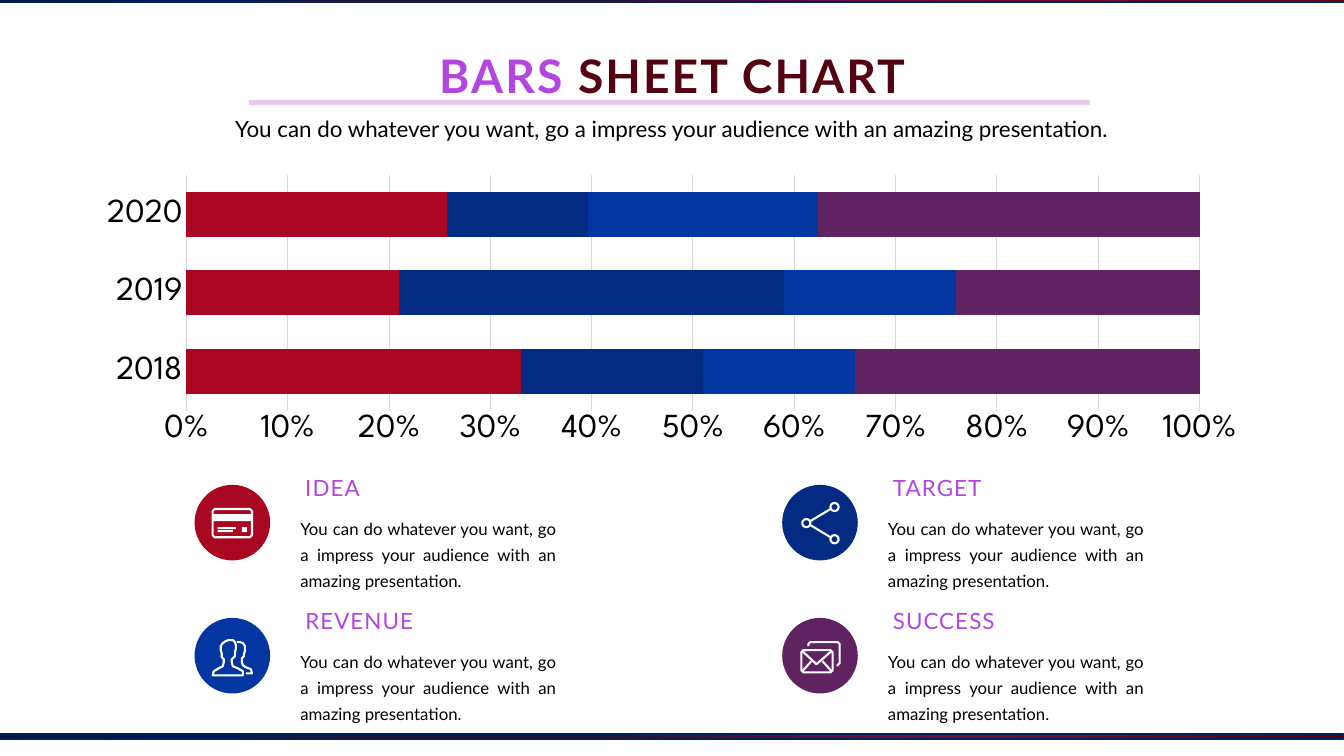
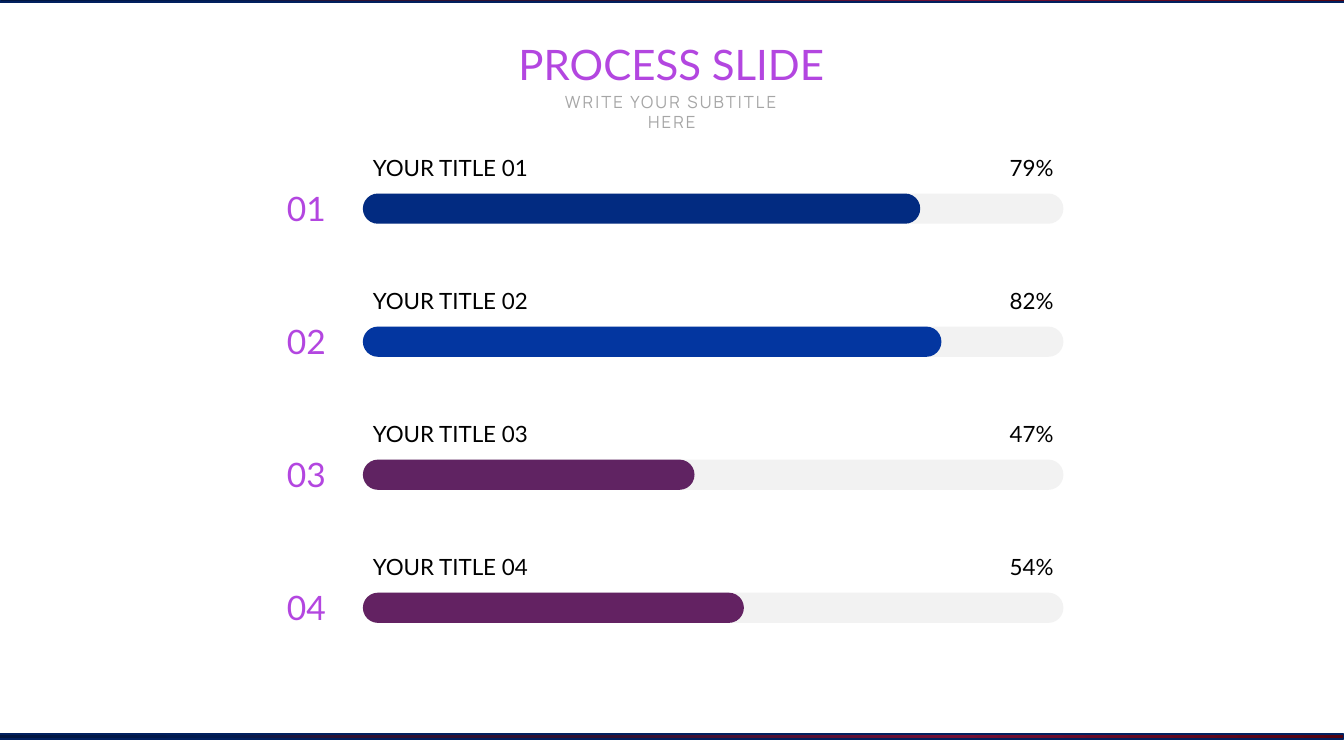
from dataclasses import dataclass
from math import cos, pi, sin

from lxml.etree import SubElement
from pptx import Presentation
from pptx.chart.data import CategoryChartData
from pptx.dml.color import RGBColor
from pptx.enum.chart import XL_CHART_TYPE, XL_TICK_MARK
from pptx.enum.shapes import MSO_SHAPE
from pptx.enum.text import MSO_ANCHOR, MSO_AUTO_SIZE, PP_ALIGN
from pptx.oxml.ns import qn
from pptx.util import Inches, Pt

PX = 9144  # one px is a hundredth of an inch
TITLE_ONLY = 5


@dataclass(frozen=True)
class Theme:
    font: str = "Lato"
    chart_font: str = "League Spartan"
    subtitle_font: str = "Manrope"
    accent: str = "B346E0"
    title_dark: str = "540311"
    text: str = "000000"
    muted: str = "A6A6A6"
    white: str = "FFFFFF"
    track: str = "F2F2F2"
    grid: str = "D9D9D9"
    underline: str = "EAC7EB"
    red: str = "A80621"
    navy: str = "022B81"
    blue: str = "0336A0"
    purple: str = "602362"
    plum: str = "632262"
    band_line: str = "01205F"
    band_stops: tuple = ((0, "540311"), (29, "751035"), (55, "311131"),
                         (74, "301231"), (83, "011B50"), (100, "011540"))
    chart_title_size: float = 33
    process_title_size: float = 30
    large: float = 24
    medium: float = 16
    small: float = 12
    line_spacing: float = 18.5


THEME = Theme()
PITCH = "You can do whatever you want, go a impress your audience with an amazing presentation."


def px(length):
    return round(length * PX)


def set_all(target, values):
    for name, value in values.items():
        setattr(target, name, value)


def place(shape, box):
    set_all(shape, dict(zip(("left", "top", "width", "height"), map(px, box))))


def style(size, color=THEME.text, font=THEME.font, bold=False, spacing=0):
    return {"font": {"name": font, "size": Pt(size), "bold": bold},
            "color": color, "spacing": spacing}


def write(shape, runs, frame_format=None, **paragraph_format):
    """Fill a shape with one paragraph of (text, style) runs."""
    frame = shape.text_frame
    set_all(frame, {"word_wrap": False, "auto_size": MSO_AUTO_SIZE.SHAPE_TO_FIT_TEXT,
                    "vertical_anchor": MSO_ANCHOR.TOP, **(frame_format or {})})
    paragraph = frame.paragraphs[0]
    set_all(paragraph, {"alignment": PP_ALIGN.LEFT, **paragraph_format})
    for text, look in runs:
        run = paragraph.add_run()
        run.text = text
        set_all(run.font, look["font"])
        run.font.color.rgb = RGBColor.from_string(look["color"])
        if look["spacing"]:
            run._r.get_or_add_rPr().set("spc", str(round(look["spacing"] * 100)))


def add_text(slide, box, text, look, frame_format=None, **paragraph_format):
    shape = slide.shapes.add_textbox(*map(px, box))
    write(shape, [(text, look)], frame_format, **paragraph_format)


def add_filled(slide, kind, box, color):
    shape = slide.shapes.add_shape(kind, *map(px, box))
    shape.shadow.inherit = False
    shape.fill.solid()
    shape.fill.fore_color.rgb = RGBColor.from_string(color)
    shape.line.fill.background()
    return shape


def add_title(slide, box, runs):
    place(slide.shapes.title, box)
    write(slide.shapes.title, runs, alignment=PP_ALIGN.CENTER)


def move_bands_to_master(presentation, slide):
    """Draw the edge bands once, so that every slide inherits them."""
    tree = presentation.slide_master.shapes.element
    for number, (left, top) in enumerate([(-4, 728), (0, -3)], start=101):
        band = add_filled(slide, MSO_SHAPE.RECTANGLE, (left, top, 1337, 5), THEME.white)
        band.fill.gradient()
        band.fill.gradient_angle = 230
        stops = band.element.spPr.find(".//" + qn("a:gsLst"))
        for stop in list(stops):
            stops.remove(stop)
        for percent, color in THEME.band_stops:
            stop = SubElement(stops, qn("a:gs"), pos=str(percent * 1000))
            SubElement(stop, qn("a:srgbClr"), val=color)
        band.line.color.rgb = RGBColor.from_string(THEME.band_line)
        band.line.width = Pt(1)
        band.element.nvSpPr.cNvPr.set("id", str(number))
        tree.append(band.element)


def add_bar_chart(slide, box):
    data = CategoryChartData()
    data.categories = ["2018", "2019", "2020"]
    series_values = [(33, 21, 26), (18, 38, 14), (15, 17, 23), (34, 24, 38)]
    for number, values in enumerate(series_values, start=1):
        data.add_series(f"Series {number}", values)
    chart = slide.shapes.add_chart(
        XL_CHART_TYPE.BAR_STACKED_100, *map(px, box), data).chart
    set_all(chart, {"has_legend": False, "has_title": False})
    set_all(chart.font, {"name": THEME.chart_font, "size": Pt(THEME.large)})
    chart.font.color.rgb = RGBColor.from_string(THEME.text)
    plot = chart.plots[0]
    set_all(plot, {"gap_width": 75, "overlap": 100, "vary_by_categories": False})
    for series, color in zip(plot.series, (THEME.red, THEME.navy, THEME.blue, THEME.purple)):
        series.format.fill.solid()
        series.format.fill.fore_color.rgb = RGBColor.from_string(color)
    categories, values = chart.category_axis, chart.value_axis
    for axis in (categories, values):
        set_all(axis, {"major_tick_mark": XL_TICK_MARK.NONE,
                       "minor_tick_mark": XL_TICK_MARK.NONE})
    values.has_major_gridlines = True
    values.format.line.fill.background()
    set_all(values.tick_labels, {"number_format": "0%", "number_format_is_linked": False})
    for line in (categories.format.line, values.major_gridlines.format.line):
        line.color.rgb = RGBColor.from_string(THEME.grid)
        line.width = Pt(0.75)


def outline(left, top, right, bottom, cut=2):
    """Points of a rectangle with trimmed corners."""
    return [(left + cut, top), (right - cut, top), (right, top + cut),
            (right, bottom - cut), (right - cut, bottom), (left + cut, bottom),
            (left, bottom - cut), (left, top + cut), (left + cut, top)]


def ring(center_x, center_y, radius=4, steps=24):
    angles = [2 * pi * step / steps for step in range(steps + 1)]
    return [(center_x + radius * cos(angle), center_y + radius * sin(angle))
            for angle in angles]


CARD = [outline(18, 24, 57, 52)]
CARD_BLOCKS = [(18, 29, 39, 7), (23, 42, 18, 2), (23, 45, 15, 2), (47, 42, 5, 5)]
SHARE = [ring(52, 22), ring(24, 38), ring(52, 54),
         [(28, 36), (48, 24)], [(28, 40), (48, 52)]]
PEOPLE = [
    [(18, 57), (19, 53), (24, 50), (28, 48), (29, 44), (29, 41), (27, 39), (27, 35),
     (26, 32), (26, 28), (28, 25), (31, 23), (34, 22), (38, 22), (40, 24), (41, 27),
     (41, 31), (40, 34), (40, 38), (37, 41), (37, 44), (38, 48), (43, 50), (48, 53),
     (48, 57), (18, 57)],
    [(42, 24), (45, 24), (48, 25), (50, 28), (50, 33), (49, 36), (49, 38), (47, 40),
     (47, 44), (48, 47), (51, 49), (56, 51), (57, 55), (51, 55)],
]
MAIL = [
    outline(19, 32, 50, 54), [(20, 33), (34, 46), (49, 33)],
    [(20, 53), (29, 43)], [(49, 53), (40, 43)],
    [(26, 28), (26, 26), (28, 24), (55, 24), (57, 26), (57, 45), (55, 47), (54, 47)],
]


def add_icon(slide, left, top, strokes, blocks):
    builder = None
    for stroke in strokes:
        points = [(px(left + x), px(top + y)) for x, y in stroke]
        if builder is None:
            builder = slide.shapes.build_freeform(*points[0])
        else:
            builder.move_to(*points[0])
        builder.add_line_segments(points[1:], close=False)
    shape = builder.convert_to_shape()
    shape.shadow.inherit = False
    shape.fill.background()
    shape.line.color.rgb = RGBColor.from_string(THEME.white)
    shape.line.width = Pt(1.5)
    for x, y, width, height in blocks:
        add_filled(slide, MSO_SHAPE.RECTANGLE, (left + x, top + y, width, height), THEME.white)


def add_topic(slide, left, top, label, label_width, color, strokes, blocks=()):
    add_filled(slide, MSO_SHAPE.OVAL, (left, top, 75, 75), color)
    add_icon(slide, left, top, strokes, blocks)
    add_text(slide, (left + 100, top - 16, label_width, 37), label,
             style(THEME.medium, THEME.accent, spacing=0.8),
             {"vertical_anchor": MSO_ANCHOR.BOTTOM})
    margins = {"margin_left": px(5), "margin_top": px(3),
               "margin_right": px(5), "margin_bottom": px(5)}
    add_text(slide, (left + 100, top + 25, 264, 84), PITCH, style(THEME.small),
             {"word_wrap": True, **margins}, alignment=PP_ALIGN.JUSTIFY,
             line_spacing=Pt(THEME.line_spacing), space_before=Pt(2.4))


def fill_chart_slide(slide):
    look = {"size": THEME.chart_title_size, "bold": True, "spacing": 1.5}
    add_title(slide, (422, 42, 490, 66), [
        ("BARS ", style(color=THEME.accent, **look)),
        ("SHEET CHART", style(color=THEME.title_dark, **look))])
    add_bar_chart(slide, (83, 168, 1167, 279))
    topics = [("IDEA", 77, THEME.red, CARD, CARD_BLOCKS),
              ("TARGET", 115, THEME.navy, SHARE),
              ("REVENUE", 131, THEME.blue, PEOPLE),
              ("SUCCESS", 123, THEME.purple, MAIL)]
    for index, topic in enumerate(topics):
        row, column = divmod(index, 2)
        add_topic(slide, 193 + 583 * column, 481 + 132 * row, *topic)
    add_filled(slide, MSO_SHAPE.RECTANGLE, (247, 99, 834, 5), THEME.underline)
    add_text(slide, (83, 110, 1167, 37), PITCH, style(THEME.medium), {"word_wrap": True},
             alignment=PP_ALIGN.CENTER, line_spacing=Pt(THEME.line_spacing))


def add_progress_row(slide, box, number, percent, color):
    left, top, width, height = box
    for bar_width, bar_color in ((width, THEME.track), (7 * percent, color)):
        bar = add_filled(slide, MSO_SHAPE.ROUNDED_RECTANGLE,
                         (left, top, bar_width, height), bar_color)
        bar.adjustments[0] = 0.5
    add_text(slide, (left - 86, top - 11, 59, 50), f"{number:02}",
             style(THEME.large, THEME.accent), {"vertical_anchor": MSO_ANCHOR.MIDDLE},
             alignment=PP_ALIGN.RIGHT)
    labels = [(left, 177, f"YOUR TITLE {number:02}", PP_ALIGN.LEFT),
              (left + width - 64, 64, f"{percent}%", PP_ALIGN.RIGHT)]
    for label_left, label_width, text, alignment in labels:
        add_text(slide, (label_left, top - 45, label_width, 37), text, style(THEME.medium),
                 {"vertical_anchor": MSO_ANCHOR.BOTTOM}, alignment=alignment)


def fill_process_slide(slide):
    add_title(slide, (499, 33, 334, 61),
              [("PROCESS SLIDE", style(THEME.process_title_size, THEME.accent))])
    add_text(slide, (526, 86, 281, 30), "WRITE YOUR SUBTITLE HERE",
             style(THEME.small, THEME.muted, THEME.subtitle_font, spacing=1.5),
             {"word_wrap": True}, alignment=PP_ALIGN.CENTER)
    steps = [(79, THEME.navy), (82, THEME.blue), (47, THEME.purple), (54, THEME.plum)]
    for index, (percent, color) in enumerate(steps):
        add_progress_row(slide, (360, 192 + 132 * index, 695, 30), index + 1, percent, color)


def main():
    presentation = Presentation()
    set_all(presentation, {"slide_width": Inches(40) // 3, "slide_height": px(750)})
    layout = presentation.slide_layouts[TITLE_ONLY]
    chart_slide, process_slide = (presentation.slides.add_slide(layout) for _ in range(2))
    move_bands_to_master(presentation, chart_slide)
    fill_chart_slide(chart_slide)
    fill_process_slide(process_slide)
    presentation.save("out.pptx")


if __name__ == "__main__":
    main()
